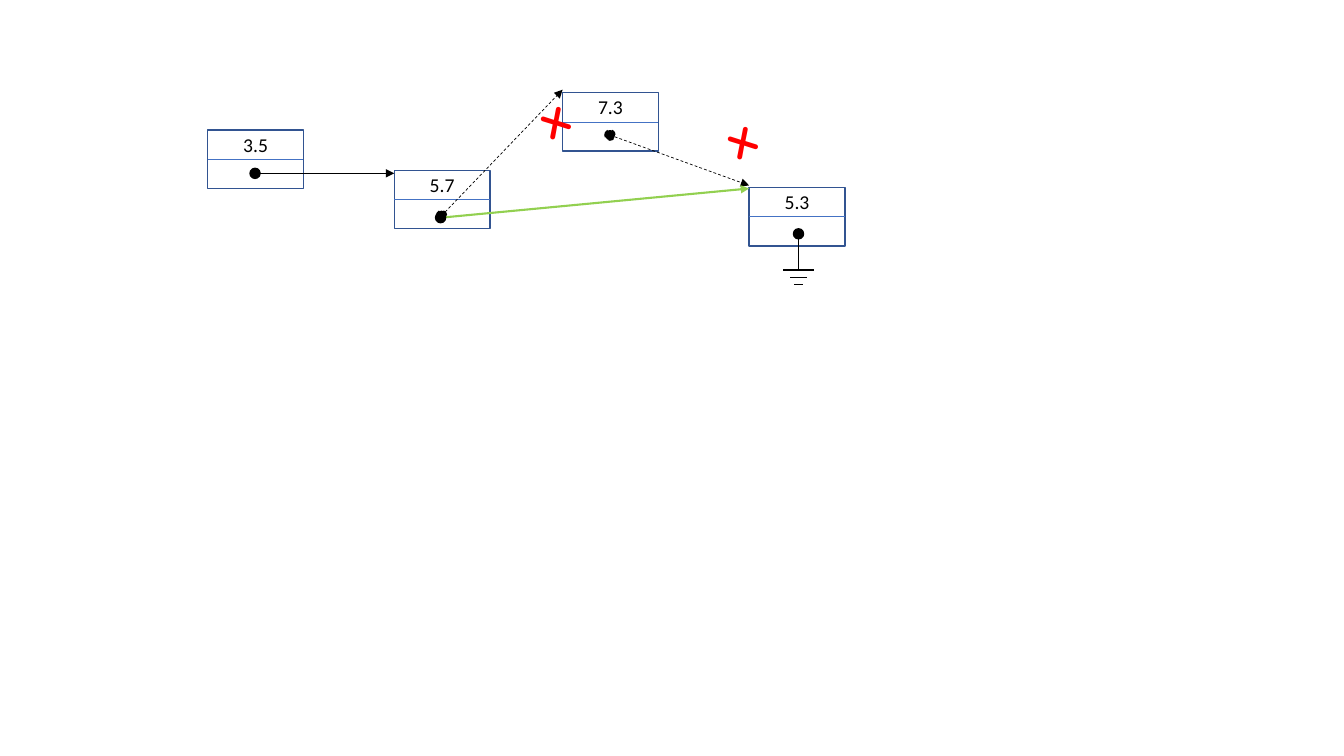
from lxml.etree import SubElement
from pptx import Presentation
from pptx.dml.color import RGBColor
from pptx.enum.dml import MSO_LINE
from pptx.enum.shapes import MSO_CONNECTOR, MSO_SHAPE
from pptx.enum.text import MSO_AUTO_SIZE, PP_ALIGN
from pptx.oxml.ns import qn
from pptx.util import Inches, Pt

# Content: nodes as (value, left, top)
NODES = [("3.5", 2.06, 1.29), ("5.7", 3.91, 1.69),
         ("7.3", 5.58, 0.92), ("5.3", 7.43, 1.86)]
# Links: start, end, colour, width, dashed
LINKS = [((2.53, 1.72), (3.91, 1.72), "ink", 0.5, False),
         ((4.38, 2.14), (5.58, 0.89), "ink", 0.5, True),
         ((6.05, 1.34), (7.43, 1.84), "ink", 0.5, True)]
NEW = ((4.37, 2.16), (7.43, 1.87), "new", 1.5, False)
CUTS = [(5.48, 1.16), (7.33, 1.36)]  # centres of the crosses
END = (7.92, 2.32)                   # dot of the last node
BARS = [0.3, 0.16, 0.08]             # ground bar widths

COLORS = {"ink": "000000", "edge": "325491", "rule": "4472C4",
          "cut": "FF0000", "new": "92D050"}
SLIDE_W, SLIDE_H = 13.33, 7.5
BOX_W, BOX_H = 0.95, 0.58
DOT = 0.1
BAR_TOP, BAR_GAP = 2.68, 0.07


def color(name):
    return RGBColor.from_string(COLORS[name])


def add_line(shapes, start, end, name, width, dashed=False, arrow=False):
    line = shapes.add_connector(MSO_CONNECTOR.STRAIGHT,
                                *map(Inches, start + end))
    line.line.color.rgb = color(name)
    line.line.width = Pt(width)
    if dashed:
        line.line.dash_style = MSO_LINE.DASH
    if arrow:
        SubElement(line.line._get_or_add_ln(), qn("a:tailEnd"),
                   type="triangle")
    SubElement(line._element.spPr, qn("a:effectLst"))
    return line


def add_shape(shapes, kind, left, top, wide, high, edge, fill=None):
    shape = shapes.add_shape(kind, *map(Inches, (left, top, wide, high)))
    shape.shadow.inherit = False
    shape.line.color.rgb = color(edge)
    shape.line.width = Pt(1)
    if fill:
        shape.fill.solid()
        shape.fill.fore_color.rgb = color(fill)
    else:
        shape.fill.background()
    return shape


def add_dot(shapes, x, y, dashed=False):
    dot = add_shape(shapes, MSO_SHAPE.OVAL, x - DOT / 2, y - DOT / 2,
                    DOT, DOT, "ink", "ink")
    if dashed:
        dot.line.dash_style = MSO_LINE.DASH


def add_text(shapes, text, x, y, wide, high, face, size, name):
    box = shapes.add_textbox(*map(Inches, (x - wide / 2, y - high / 2,
                                          wide, high)))
    frame = box.text_frame
    frame.word_wrap = False
    frame.auto_size = MSO_AUTO_SIZE.SHAPE_TO_FIT_TEXT
    para = frame.paragraphs[0]
    para.text = text
    para.alignment = PP_ALIGN.CENTER
    para.font.name = face
    para.font.size = Pt(size)
    para.font.color.rgb = color(name)
    return box


def add_node(shapes, value, left, top):
    group = shapes.add_group_shape().shapes
    box = add_shape(group, MSO_SHAPE.RECTANGLE, left, top,
                    BOX_W, BOX_H, "edge")
    mid = top + BOX_H / 2
    rule = add_line(group, (left, mid), (left + BOX_W, mid), "rule", 0.5)
    rule.begin_connect(box, 1)
    rule.end_connect(box, 3)
    add_text(group, value, left + BOX_W / 2, top + BOX_H / 4,
             0.45, 0.34, "Calibri", 14, "ink")


def add_link(shapes, start, end, name, width, dashed):
    group = shapes.add_group_shape().shapes
    add_line(group, start, end, name, width, dashed, arrow=True)
    add_dot(group, *start, dashed)


def add_ground(shapes, x, y):
    group = shapes.add_group_shape().shapes
    add_line(group, (x, y), (x, BAR_TOP), "ink", 1)
    for row, wide in enumerate(BARS):
        level = BAR_TOP + row * BAR_GAP
        add_line(group, (x - wide / 2, level), (x + wide / 2, level),
                 "ink", 1)


def main():
    deck = Presentation()
    deck.slide_width, deck.slide_height = Inches(SLIDE_W), Inches(SLIDE_H)
    shapes = deck.slides.add_slide(deck.slide_layouts[6]).shapes

    # List nodes and old links
    for node in NODES:
        add_node(shapes, *node)
    for link in LINKS:
        add_link(shapes, *link)

    # End of the list
    add_dot(shapes, *END)
    add_ground(shapes, *END)

    # Removed links and the new one
    for x, y in CUTS:
        cross = add_text(shapes, "x", x, y, 0.5, 0.71,
                         "Comic Neue", 36, "cut")
        cross.text_frame.paragraphs[0].font.bold = True
        cross.rotation = 327.1
    add_link(shapes, *NEW)
    deck.save("out.pptx")


if __name__ == "__main__":
    main()
